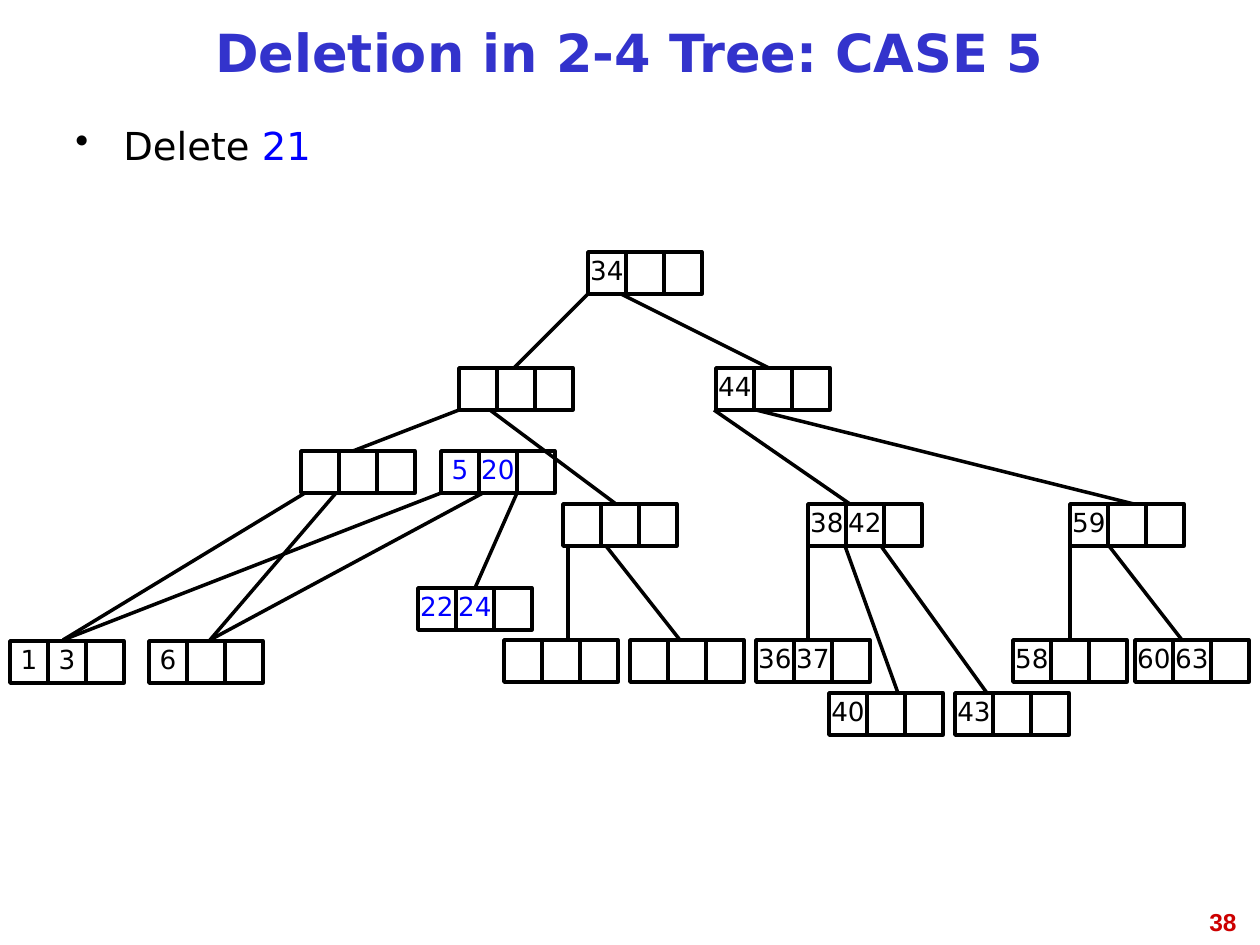
import pptx
import pptx.util
import pptx.dml.color
import pptx.enum.shapes
import pptx.enum.text
import pptx.oxml.ns
import lxml.etree
from dataclasses import dataclass


@dataclass(frozen=True)
class Theme:
    font: str = "DejaVu Sans"
    number_font: str = "Arial"
    title: str = "3333CC"
    ink: str = "000000"
    accent: str = "0000FF"
    number: str = "CC0000"
    paper: str = "FFFFFF"
    title_size: int = 30
    body_size: int = 22
    key_size: int = 15
    number_size: int = 14
    stroke: int = 2


theme = Theme()
rgb = pptx.dml.color.RGBColor.from_string
align = pptx.enum.text.PP_ALIGN
anchor = pptx.enum.text.MSO_ANCHOR
qn = pptx.oxml.ns.qn


def px(count):
    return pptx.util.Emu(round(count * 914400 / 126))


def style(para, size, color, bold=False, name=theme.font):
    para.font.size = pptx.util.Pt(size)
    para.font.name = name
    para.font.bold = bold
    para.font.color.rgb = rgb(color)


deck = pptx.Presentation()
deck.slide_width, deck.slide_height = px(1260), px(945)
page = deck.slides.add_slide(deck.slide_layouts[5])

title = page.shapes.title
title.left, title.top, title.width, title.height = px(63), px(10), px(1133), px(94)
title.text_frame.text = "Deletion in 2-4 Tree: CASE 5"
title.text_frame.auto_size = pptx.enum.text.MSO_AUTO_SIZE.NONE
title.text_frame.vertical_anchor = anchor.MIDDLE
para = title.text_frame.paragraphs[0]
para.alignment = align.CENTER
para.line_spacing = 0.81
style(para, theme.title_size, theme.title, bold=True)

task = page.shapes.add_textbox(px(63), px(116), px(1133), px(73))
task.text_frame.word_wrap = True
para = task.text_frame.paragraphs[0]
para.alignment = align.JUSTIFY
properties = para._p.get_or_add_pPr()
properties.set("marL", str(px(48)))
properties.set("indent", str(px(-48)))
bullet_color = lxml.etree.SubElement(properties, qn("a:buClr"))
lxml.etree.SubElement(bullet_color, qn("a:srgbClr"), val=theme.ink)
lxml.etree.SubElement(properties, qn("a:buChar"), char="•")
for words, color in [("Delete ", theme.ink), ("21", theme.accent)]:
    span = para.add_run()
    span.text = words
    span.font.color.rgb = rgb(color)
    span.font.size = pptx.util.Pt(theme.body_size)
    span.font.name = theme.font

number = page.shapes.add_textbox(px(955), px(901), px(294), px(66))
number.text_frame.word_wrap = True
para = number.text_frame.paragraphs[0]
para.text = "38"
para.alignment = align.RIGHT
style(para, theme.number_size, theme.number, bold=True, name=theme.number_font)

edges = [
    (588, 294, 514, 368), (621, 294, 769, 368),
    (459, 410, 353, 451), (490, 410, 616, 504),
    (714, 410, 850, 504), (756, 410, 1134, 504),
    (305, 493, 63, 640), (336, 493, 210, 640),
    (441, 493, 63, 640), (483, 493, 210, 640), (517, 493, 475, 588),
    (568, 546, 568, 640), (606, 546, 680, 640),
    (808, 546, 808, 640), (845, 546, 898, 693), (881, 546, 987, 693),
    (1070, 546, 1070, 640), (1109, 546, 1182, 640),
]
for edge in edges:
    line = page.shapes.add_connector(
        pptx.enum.shapes.MSO_CONNECTOR.STRAIGHT, *[px(value) for value in edge])
    line.line.color.rgb = rgb(theme.ink)
    line.line.width = pptx.util.Pt(theme.stroke)
    lxml.etree.SubElement(line._element.spPr, qn("a:effectLst"))

cell_width, cell_height = 38, 42
nodes = [
    (588, 252, ["34"], theme.ink, False),
    (459, 368, [], theme.ink, True),
    (716, 368, ["44"], theme.ink, True),
    (301, 451, [], theme.ink, True),
    (441, 451, ["5", "20"], theme.accent, False),
    (563, 504, [], theme.ink, True),
    (808, 504, ["38", "42"], theme.ink, False),
    (1070, 504, ["59"], theme.ink, False),
    (418, 588, ["22", "24"], theme.accent, False),
    (10, 641, ["1", "3"], theme.ink, False),
    (149, 641, ["6"], theme.ink, False),
    (504, 640, [], theme.ink, False),
    (630, 640, [], theme.ink, True),
    (756, 640, ["36", "37"], theme.ink, False),
    (1013, 640, ["58"], theme.ink, False),
    (1135, 640, ["60", "63"], theme.ink, False),
    (829, 693, ["40"], theme.ink, False),
    (955, 693, ["43"], theme.ink, False),
]
for left, top, keys, color, filled in nodes:
    node = page.shapes.add_group_shape()
    for slot in range(3):
        cell = node.shapes.add_shape(
            pptx.enum.shapes.MSO_SHAPE.RECTANGLE,
            px(left + slot * cell_width), px(top), px(cell_width), px(cell_height))
        cell.shadow.inherit = False
        if filled:
            cell.fill.solid()
            cell.fill.fore_color.rgb = rgb(theme.paper)
        else:
            cell.fill.background()
        cell.line.color.rgb = rgb(theme.ink)
        cell.line.width = pptx.util.Pt(theme.stroke)
        if slot < len(keys):
            cell.text_frame.word_wrap = False
            cell.text_frame.vertical_anchor = anchor.MIDDLE
            para = cell.text_frame.paragraphs[0]
            para.text = keys[slot]
            para.alignment = align.CENTER
            para.line_spacing = 0.81
            style(para, theme.key_size, color)

deck.save("out.pptx")
